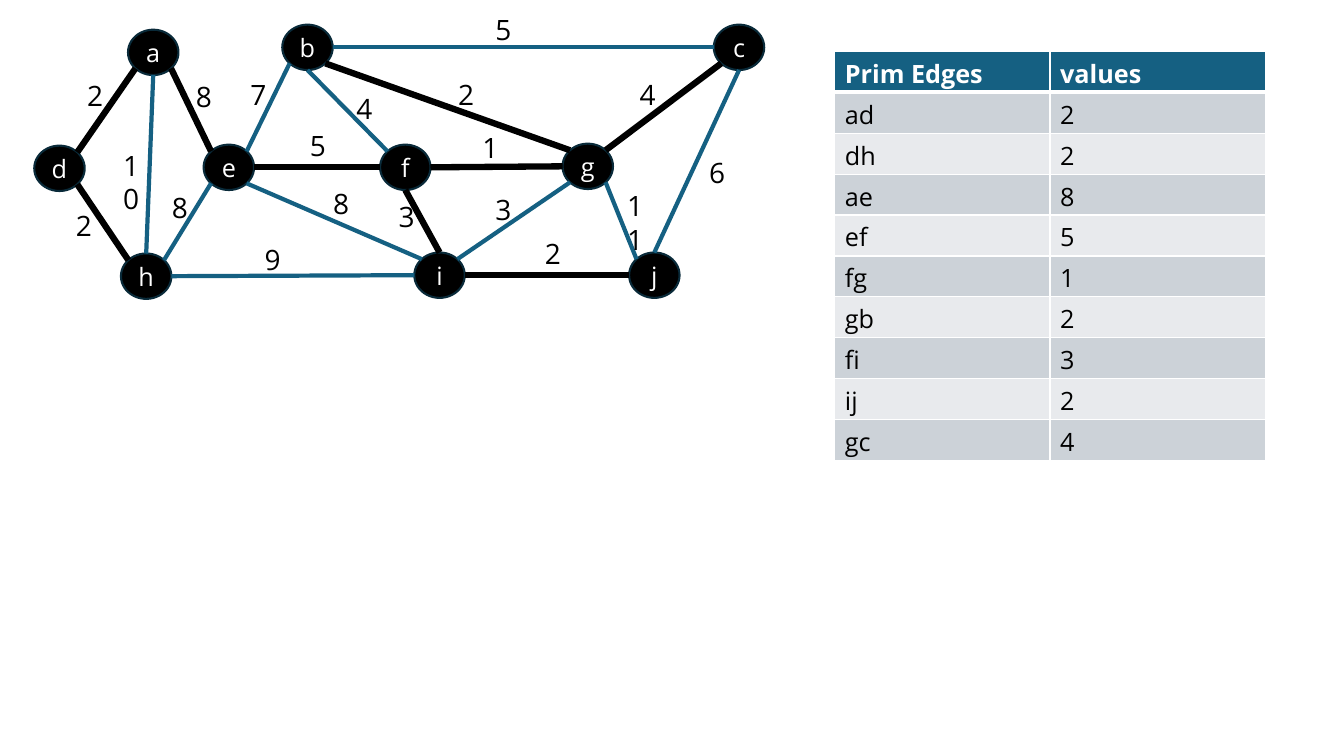
import math
from lxml import etree
from pptx import Presentation, util as u
from pptx.dml.color import RGBColor
from pptx.enum import shapes, text
from pptx.oxml import ns

GRID = u.Inches(0.1)
FONT = "Open Sans"
COLORS = {"ink": "000000", "paper": "FFFFFF", "accent": "156082",
          "outline": "092A39", "odd": "CCD2D8", "even": "E8EAED"}
NODE_W, NODE_H = 5, 4.5
SIDES = {side: math.radians(45 * i)
         for i, side in enumerate(["e", "se", "s", "sw", "w", "nw", "n", "ne"])}
NODES = {"a": (15.2, 5.2), "i": (43.6, 27.3), "b": (30.5, 4.7), "h": (14.5, 27.4),
         "d": (5.9, 16.7), "c": (73.3, 4.7), "e": (22.7, 16.6), "f": (40.2, 16.6),
         "g": (58.3, 16.5), "j": (64.9, 27.3)}
EDGES = [
    ("a", "sw", "d", "ne", 2, (9.4, 7.3)),
    ("a", "se", "e", "nw", 8, (20.2, 7.4)),
    ("a", "s", "h", "n", 10, (13, 14.2)),
    ("d", "se", "h", "nw", 2, (8.3, 20.2)),
    ("h", "ne", "e", "sw", 8, (17.8, 18.4)),
    ("e", "se", "i", "nw", 8, (33.8, 18)),
    ("f", "s", "i", "n", 3, (40.3, 19.3)),
    ("h", "e", "i", "w", 9, (27, 23.6)),
    ("b", "sw", "e", "ne", 7, (25.6, 7.2)),
    ("b", "e", "c", "w", 5, (49.9, 0.7)),
    ("b", "s", "f", "nw", 4, (36.1, 8.6)),
    ("e", "e", "f", "w", 5, (31.5, 12.3)),
    ("f", "e", "g", "w", 1, (48.6, 12.5)),
    ("b", "se", "g", "nw", 2, (46.2, 7.2)),
    ("i", "ne", "g", "sw", 3, (49.9, 18.6)),
    ("i", "e", "j", "w", 2, (54.8, 23)),
    ("j", "n", "c", "s", 6, (71.1, 14.9)),
    ("g", "ne", "c", "sw", 4, (64.2, 7.2)),
    ("j", "nw", "g", "se", 11, (63, 18.2)),
]
TREE = ["ad", "dh", "ae", "ef", "fg", "gb", "fi", "ij", "gc"]


def cells(*values):
    return [round(v * GRID) for v in values]


def rgb(name):
    return RGBColor.from_string(COLORS[name])


def write(tf, words, size, color, align=text.PP_ALIGN.CENTER, bold=False):
    p = tf.paragraphs[0]
    p.alignment = align
    r = p.add_run()
    r.text = words
    for key, value in {"name": FONT, "size": u.Pt(size), "bold": bold}.items():
        setattr(r.font, key, value)
    r.font.color.rgb = rgb(color)


def add_node(s, name, x, y):
    box = cells(x - NODE_W / 2, y - NODE_H / 2, NODE_W, NODE_H)
    sp = s.shapes.add_shape(shapes.MSO_SHAPE.OVAL, *box)
    sp.shadow.inherit = False
    sp.fill.solid()
    sp.fill.fore_color.rgb = rgb("ink")
    sp.line.color.rgb = rgb("outline")
    sp.line.width = u.Pt(1.5)
    sp.text_frame.vertical_anchor = text.MSO_ANCHOR.MIDDLE
    write(sp.text_frame, name, 18, "paper")


def rim(node, side):
    x, y = NODES[node]
    angle = SIDES[side]
    return cells(x + NODE_W / 2 * math.cos(angle), y + NODE_H / 2 * math.sin(angle))


def add_edge(s, start, end, in_tree):
    line = s.shapes.add_connector(shapes.MSO_CONNECTOR.STRAIGHT, *start, *end)
    line.line.color.rgb = rgb("ink" if in_tree else "accent")
    line.line.width = u.Pt(4.5 if in_tree else 3)
    etree.SubElement(line._element.spPr, ns.qn("a:effectLst"))


def add_weight(s, weight, x, y):
    w = 2 + 1.5 * len(str(weight))
    tf = s.shapes.add_textbox(*cells(x - w / 2, y, w, 4.4)).text_frame
    tf.word_wrap = True
    write(tf, str(weight), 20, "ink")


def add_borders(cell, widths):
    tcPr = cell._tc.get_or_add_tcPr()
    for i, (side, width) in enumerate(widths.items()):
        ln = etree.Element(ns.qn(f"a:ln{side}"), w=str(u.Pt(width)))
        fill = etree.SubElement(ln, ns.qn("a:solidFill"))
        etree.SubElement(fill, ns.qn("a:srgbClr"), val=COLORS["paper"])
        tcPr.insert(i, ln)


def add_table(s, rows, x, y, w, row_h):
    frame = s.shapes.add_table(len(rows), len(rows[0]), *cells(x, y, w, row_h * len(rows)))
    for i, values in enumerate(rows):
        head = i == 0
        fill = "accent" if head else "odd" if i % 2 else "even"
        for j, value in enumerate(values):
            cell = frame.table.cell(i, j)
            cell.fill.solid()
            cell.fill.fore_color.rgb = rgb(fill)
            add_borders(cell, {"L": 1, "R": 1, "T": 3 if i == 1 else 1, "B": 3 if head else 1})
            write(cell.text_frame, str(value), 18, "paper" if head else "ink",
                  text.PP_ALIGN.LEFT, head)


def main():
    prs = Presentation()
    prs.slide_width, prs.slide_height = u.Inches(13.33), u.Inches(7.5)
    s = prs.slides.add_slide(prs.slide_layouts[6])
    tree = {frozenset(pair) for pair in TREE}
    weights = {frozenset((a, b)): weight for a, _, b, _, weight, _ in EDGES}
    for name, center in NODES.items():
        add_node(s, name, *center)
    for a, side_a, b, side_b, _, _ in EDGES:
        add_edge(s, rim(a, side_a), rim(b, side_b), frozenset((a, b)) in tree)
    for *_, weight, place in EDGES:
        add_weight(s, weight, *place)
    rows = [("Prim Edges", "values")] + [(pair, weights[frozenset(pair)]) for pair in TREE]
    add_table(s, rows, 82.8, 5.1, 42.7, 4.06)
    prs.save("out.pptx")


if __name__ == "__main__":
    main()
